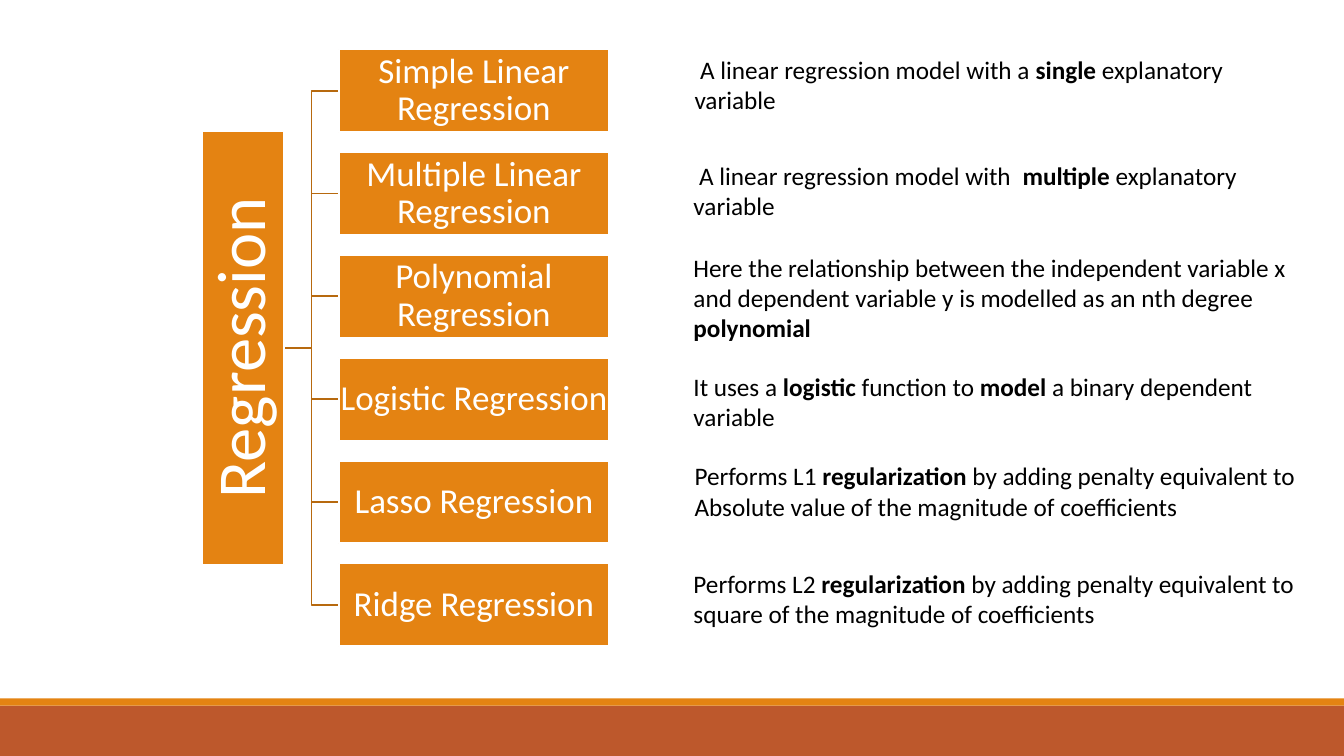
from pptx import Presentation
from pptx.dml.color import RGBColor
from pptx.enum.shapes import MSO_SHAPE
from pptx.enum.text import MSO_ANCHOR, PP_ALIGN
from pptx.util import Emu, Pt

FONT = "Calibri"
ORANGE, RUST, BROWN = "E48312", "BD582C", "B7690E"
WHITE, BLACK = "FFFFFF", "000000"

ROOT = "Regression"
METHODS = [
    "Simple Linear Regression",
    "Multiple Linear Regression",
    "Polynomial Regression",
    "Logistic Regression",
    "Lasso Regression",
    "Ridge Regression",
]
# left, top, width, height, [(text, bold)]
NOTES = [
    (679, 49, 596, 71, [(" A linear regression model with a ", False), ("single", True),
                        (" explanatory variable", False)]),
    (678, 154, 616, 71, [(" A linear regression model with  ", False), ("multiple ", True),
                         ("explanatory variable", False)]),
    (678, 245, 640, 101, [("Here the relationship between the independent variable x and "
                           "dependent variable y is modelled as an nth degree ", False),
                          ("polynomial", True)]),
    (678, 363, 616, 71, [("It uses a ", False), ("logistic", True), (" function to ", False),
                         ("model", True), (" a binary dependent variable", False)]),
    (679, 452, 616, 71, [("Performs L1 ", False), ("regularization ", True),
                         ("by adding penalty equivalent to Absolute value of the "
                          "magnitude of coefficients", False)]),
    (678, 559, 616, 71, [("Performs L2 ", False), ("regularization ", True),
                         ("by adding penalty equivalent to square of the "
                          "magnitude of coefficients", False)]),
]

SLIDE_W, SLIDE_H = 1333, 750
BAR_H, STRIPE_H = 50, 7
BOX_X, BOX_Y, BOX_W, BOX_H, PITCH = 336, 49, 268, 82, 102
ROOT_LEN, ROOT_RIGHT = 430, 282
ROOT_MID = BOX_Y + (PITCH * (len(METHODS) - 1) + BOX_H) // 2
TRUNK_X = (ROOT_RIGHT + BOX_X) // 2


def px(n):
    return Emu(n * 9144)


def rgb(color):
    return RGBColor.from_string(color)


def add_run(p, text, size, color, bold=False):
    r = p.add_run()
    r.text = text
    r.font.name = FONT
    r.font.size = Pt(size)
    r.font.bold = bold
    r.font.color.rgb = rgb(color)


def add_rect(s, x, y, w, h, fill, line=None):
    sp = s.shapes.add_shape(MSO_SHAPE.RECTANGLE, px(x), px(y), px(w), px(h))
    sp.shadow.inherit = False
    sp.fill.solid()
    sp.fill.fore_color.rgb = rgb(fill)
    if line:
        sp.line.color.rgb = rgb(line)
        sp.line.width = Pt(1.25)
    else:
        sp.line.fill.background()
    return sp


def add_box(s, x, y, w, h, text, size, margin):
    sp = add_rect(s, x, y, w, h, ORANGE, WHITE)
    tf = sp.text_frame
    tf.word_wrap = True
    tf.vertical_anchor = MSO_ANCHOR.MIDDLE
    tf.margin_left = tf.margin_right = tf.margin_top = tf.margin_bottom = px(margin)
    p = tf.paragraphs[0]
    p.alignment = PP_ALIGN.CENTER
    p.line_spacing = 0.9
    add_run(p, text, size, WHITE)
    return sp


def add_branch(s, y):
    builder = s.shapes.build_freeform(ROOT_RIGHT, ROOT_MID, scale=px(1))
    builder.add_line_segments([(TRUNK_X, ROOT_MID), (TRUNK_X, y), (BOX_X, y)], close=False)
    sp = builder.convert_to_shape()
    sp.shadow.inherit = False
    sp.fill.background()
    sp.line.color.rgb = rgb(BROWN)
    sp.line.width = Pt(1.25)


def add_note(s, x, y, w, h, runs):
    tf = s.shapes.add_textbox(px(x), px(y), px(w), px(h)).text_frame
    tf.word_wrap = True
    for text, bold in runs:
        add_run(tf.paragraphs[0], text, 18, BLACK, bold)


def main():
    """Build the slide of regression types and save it."""
    prs = Presentation()
    prs.slide_width, prs.slide_height = px(SLIDE_W), px(SLIDE_H)
    s = prs.slides.add_slide(prs.slide_layouts[6])

    bar_y = SLIDE_H - BAR_H
    add_rect(s, 0, bar_y, SLIDE_W, BAR_H, RUST)
    add_rect(s, 0, bar_y - STRIPE_H, SLIDE_W, STRIPE_H, ORANGE)

    tops = [BOX_Y + i * PITCH for i in range(len(METHODS))]
    for top in reversed(tops):
        add_branch(s, top + BOX_H // 2)

    root_x = ROOT_RIGHT - (BOX_H + ROOT_LEN) // 2
    root = add_box(s, root_x, ROOT_MID - BOX_H // 2, ROOT_LEN, BOX_H, ROOT, 49, 3)
    root.rotation = 270

    for top, method in zip(tops, METHODS):
        add_box(s, BOX_X, top, BOX_W, BOX_H, method, 25, 1)
    for note in NOTES:
        add_note(s, *note)

    prs.save("out.pptx")


if __name__ == "__main__":
    main()
